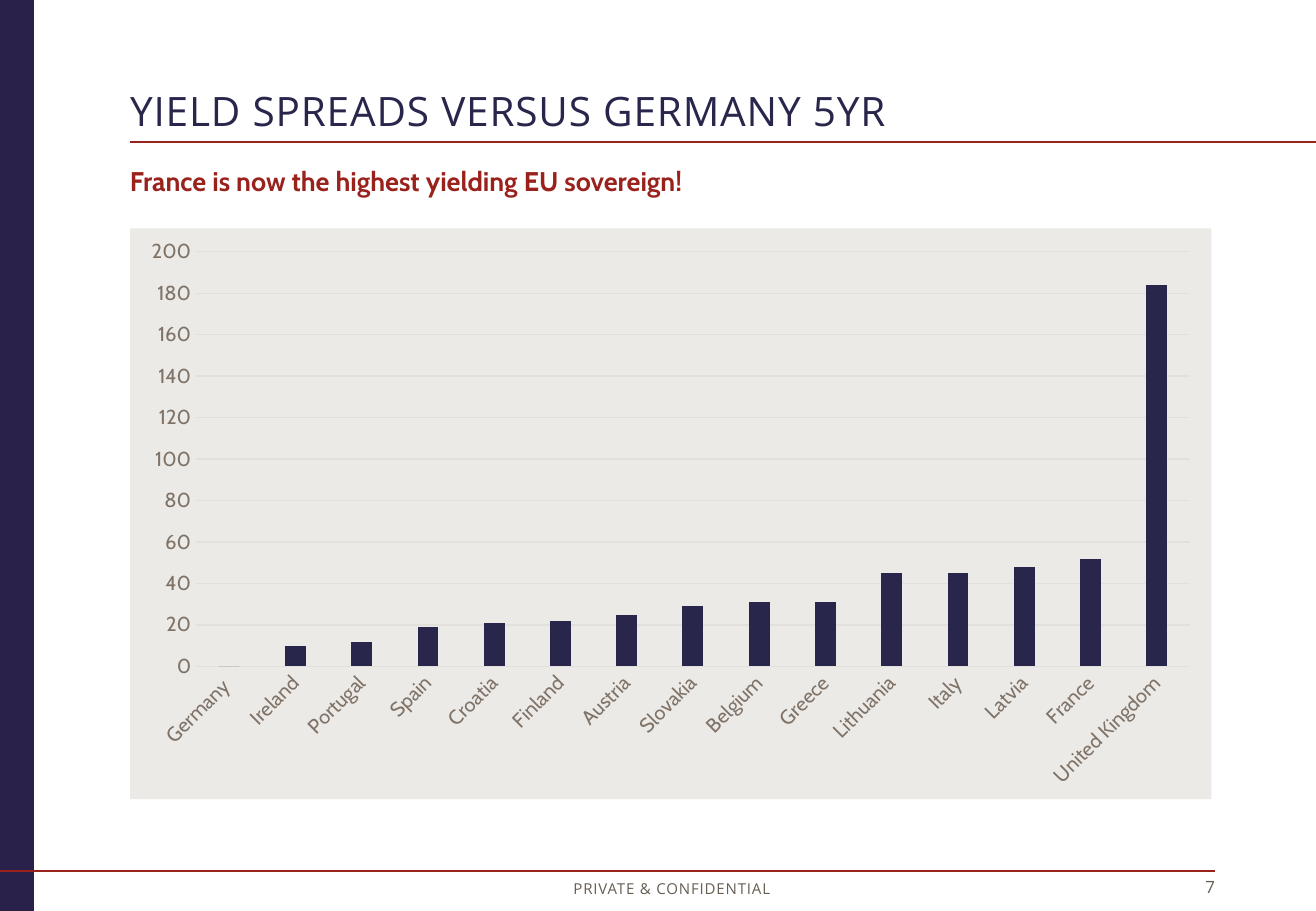
import pptx
import pptx.chart.data
import pptx.dml.color
import pptx.enum.chart
import pptx.enum.shapes
import pptx.enum.text
import pptx.oxml
import pptx.oxml.ns
import pptx.util
from dataclasses import dataclass


@dataclass(frozen=True)
class Theme:
    band: str = "29214A"
    navy: str = "28264B"
    red: str = "9A221D"
    footer: str = "675E54"
    label: str = "7F7368"
    grid: str = "E2DFDC"
    panel: str = "ECEAE7"
    heading_font: str = "Open Sans"
    body_font: str = "Cabin"
    title_size: float = 24
    subtitle_size: float = 16
    label_size: float = 12
    number_size: float = 10
    footer_size: float = 8.9


def color(value):
    return pptx.dml.color.RGBColor.from_string(value)


def write(shape, text, font_name, size, value, anchor, alignment, spacing=0, bold=False):
    frame = shape.text_frame
    frame.text = text
    frame.word_wrap = True
    frame.auto_size = pptx.enum.text.MSO_AUTO_SIZE.NONE
    frame.vertical_anchor = anchor
    frame.margin_left = frame.margin_right = frame.margin_top = frame.margin_bottom = 0
    paragraph = frame.paragraphs[0]
    paragraph.alignment = alignment
    run = paragraph.runs[0]
    run.font.name = font_name
    run.font.size = pptx.util.Pt(size)
    run.font.bold = bold
    run.font.color.rgb = color(value)
    if spacing:
        run.font._element.set("spc", str(int(spacing * 100)))
    return paragraph


theme = Theme()
inch = pptx.util.Inches
align = pptx.enum.text.PP_ALIGN
anchors = pptx.enum.text.MSO_ANCHOR

presentation = pptx.Presentation()
presentation.slide_width = inch(10.83)
presentation.slide_height = inch(7.5)
width, height = presentation.slide_width, presentation.slide_height
left, content_width = inch(1.07), inch(8.9)
footer_top, footer_height = inch(7.22), inch(0.17)
footer_right = inch(10)

slide = presentation.slides.add_slide(presentation.slide_layouts[5])

band = slide.shapes.add_shape(pptx.enum.shapes.MSO_SHAPE.RECTANGLE, 0, 0, inch(0.28), height)
band.shadow.inherit = False
band.fill.solid()
band.fill.fore_color.rgb = color(theme.band)
band.line.fill.background()

rules = [(0, footer_right, inch(7.17), 1), (left, width, inch(1.17), 1.5)]
for start, end, top, weight in rules:
    rule = slide.shapes.add_connector(pptx.enum.shapes.MSO_CONNECTOR.STRAIGHT, start, top, end, top)
    rule.line.color.rgb = color(theme.red)
    rule.line.width = pptx.util.Pt(weight)
    rule._element.spPr.append(pptx.oxml.parse_xml(f"<a:effectLst {pptx.oxml.ns.nsdecls('a')}/>"))

title = slide.shapes.title
title.left, title.top, title.width, title.height = left, inch(0.74), inch(6.91), inch(0.37)
title_paragraph = write(title, "YIELD SPREADS VERSUS GERMANY 5YR", theme.heading_font, theme.title_size,
                        theme.navy, anchors.BOTTOM, align.LEFT, spacing=0.5)
title_paragraph.line_spacing = 0.9

subtitle = slide.shapes.add_textbox(left, inch(1.35), content_width, inch(0.27))
write(subtitle, "France is now the highest yielding EU sovereign!", theme.body_font, theme.subtitle_size,
      theme.red, anchors.MIDDLE, align.LEFT, bold=True)

confidential = slide.shapes.add_textbox(inch(4.38), footer_top + inch(0.02), inch(2.3), footer_height)
write(confidential, "PRIVATE & CONFIDENTIAL", theme.heading_font, theme.footer_size,
      theme.footer, anchors.TOP, align.CENTER, spacing=0.5)

number = slide.shapes.add_textbox(inch(9.44), footer_top, inch(0.56), footer_height)
write(number, "7", theme.heading_font, theme.number_size, theme.footer, anchors.TOP, align.RIGHT)

spreads = {
    "Germany ": 0, "Ireland": 10, "Portugal": 12, "Spain": 19, "Croatia": 21,
    "Finland": 22, "Austria": 25, "Slovakia": 29, "Belgium": 31, "Greece": 31,
    "Lithuania": 45, "Italy": 45, "Latvia": 48, "France": 52, "United Kingdom": 184,
}
chart_data = pptx.chart.data.CategoryChartData(number_format="0")
chart_data.categories = list(spreads)
chart_data.add_series("Series 1", list(spreads.values()))
chart_frame = slide.shapes.add_chart(pptx.enum.chart.XL_CHART_TYPE.COLUMN_CLUSTERED,
                                     left, inch(1.88), content_width, inch(4.7), chart_data)
chart = chart_frame.chart
chart.has_legend = False
chart.has_title = False
chart.font.name = theme.body_font
chart.font.size = pptx.util.Pt(theme.label_size)

plot = chart.plots[0]
plot.gap_width = 219
plot.overlap = -27
plot.vary_by_categories = False
bars = plot.series[0].format.fill
bars.solid()
bars.fore_color.rgb = color(theme.navy)

for axis in (chart.category_axis, chart.value_axis):
    axis.major_tick_mark = axis.minor_tick_mark = pptx.enum.chart.XL_TICK_MARK.NONE
    font = axis.tick_labels.font
    font.name = theme.body_font
    font.size = pptx.util.Pt(theme.label_size)
    font.color.rgb = color(theme.label)

chart.value_axis.minimum_scale = 0
chart.value_axis.maximum_scale = 200
chart.value_axis.major_unit = 20
chart.value_axis.tick_labels.number_format = "0"
chart.value_axis.tick_labels.number_format_is_linked = False
chart.value_axis.format.line.fill.background()
for line in (chart.category_axis.format.line, chart.value_axis.major_gridlines.format.line):
    line.color.rgb = color(theme.grid)
    line.width = pptx.util.Pt(0.75)

chart.category_axis._element.xpath("c:txPr/a:bodyPr")[0].set("rot", str(-45 * 60000))
chart._chartSpace.xpath("c:chart")[0].addnext(pptx.oxml.parse_xml(
    f"<c:spPr {pptx.oxml.ns.nsdecls('c', 'a')}><a:solidFill><a:srgbClr val='{theme.panel}'/></a:solidFill>"
    "<a:ln><a:noFill/></a:ln></c:spPr>"))

presentation.save("out.pptx")
